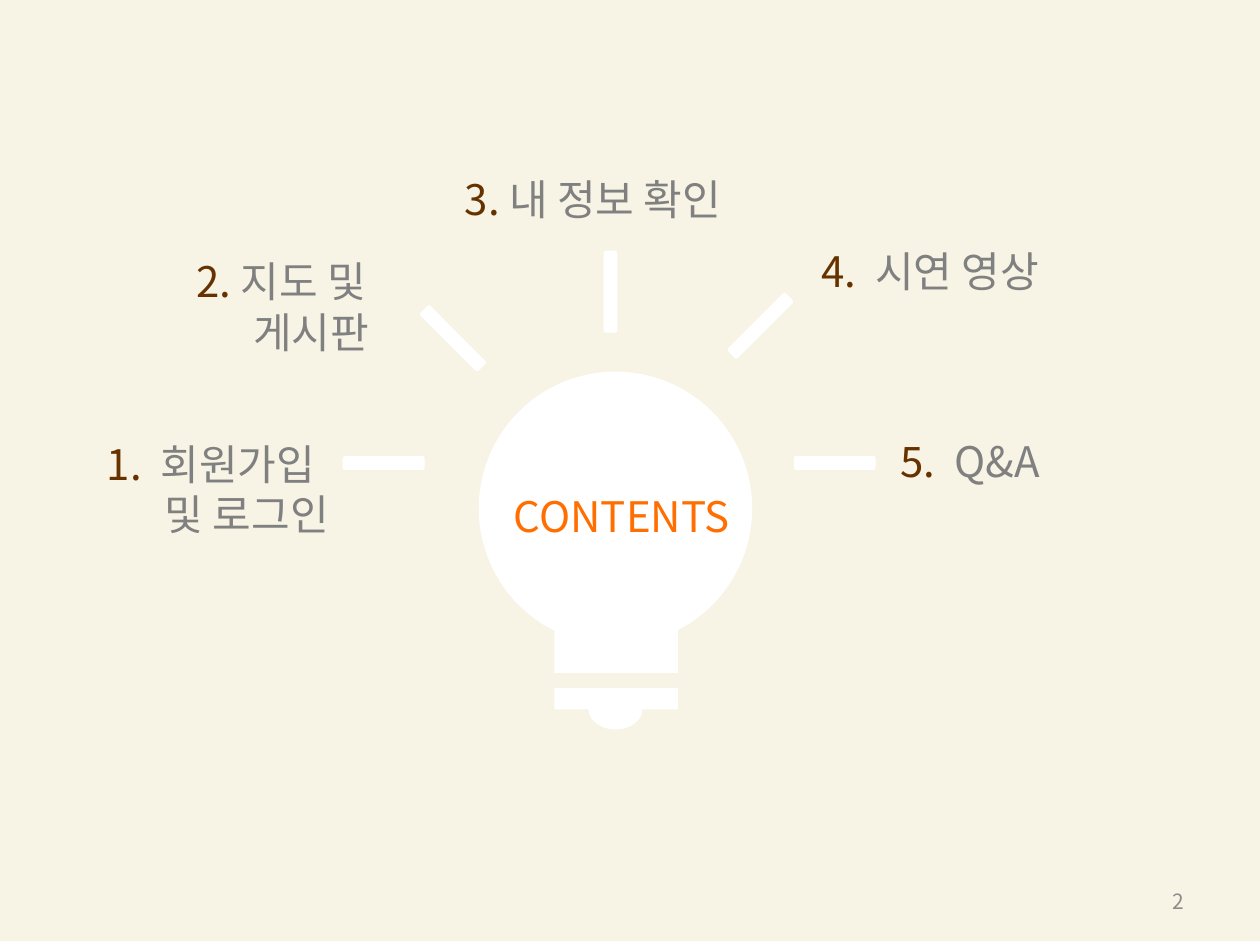
"""Build a contents slide: five topics around a light bulb."""
from dataclasses import dataclass

from lxml import etree
from pptx import Presentation
from pptx.dml.color import RGBColor
from pptx.enum.shapes import MSO_SHAPE
from pptx.enum.text import MSO_ANCHOR, MSO_AUTO_SIZE, PP_ALIGN
from pptx.oxml.ns import qn
from pptx.util import Inches, Length, Pt

RECT, OVAL, ROUND = MSO_SHAPE.RECTANGLE, MSO_SHAPE.OVAL, MSO_SHAPE.ROUNDED_RECTANGLE
FIT, MIDDLE, RIGHT = MSO_AUTO_SIZE.SHAPE_TO_FIT_TEXT, MSO_ANCHOR.MIDDLE, PP_ALIGN.RIGHT
FONT = "Noto Sans CJK KR"
CREAM, WHITE, ORANGE = "F7F4E5", "FFFFFF", "FF6E01"
BROWN, GRAY, PALE = "663300", "808080", "8C8C8C"
COLS, ROWS = 100, 75
RAY_W, RAY_H = 6.5, 1.1
WIDE_GAP = 5.4


@dataclass(frozen=True)
class Part:
    kind: MSO_SHAPE
    x: float
    y: float
    w: float
    h: float
    turn: float = 0


@dataclass(frozen=True)
class Topic:
    x: float
    y: float
    w: float
    title: str
    gap: float = 0
    second: str = ""
    indent: float = 0


BULB = [
    Part(OVAL, 38, 29.5, 21.7, 21.7),
    Part(RECT, 44, 46.7, 9.8, 6.7),
    Part(RECT, 44, 54.6, 9.8, 1.7),
    Part(OVAL, 46.7, 54.6, 4.3, 3.3),
]
RAYS = [
    Part(ROUND, x, y, RAY_W, RAY_H, turn)
    for x, y, turn in [
        (27.2, 36.2, 0), (32.7, 26.3, 45), (45.2, 22.6, 90),
        (63, 36.2, 0), (57.1, 25.3, 135),
    ]
]
TOPICS = [
    Topic(7.5, 34.3, 20, "회원가입", WIDE_GAP, "및 로그인", 4.6),
    Topic(14.6, 19.8, 17.8, "지도 및", 0, "게시판", 4.5),
    Topic(35.9, 13.3, 23.9, "내 정보 확인"),
    Topic(64.2, 19, 24.1, "시연 영상", WIDE_GAP),
    Topic(70.5, 34.1, 24.1, "Q&A", WIDE_GAP),
]


def cells(n: float) -> Length:
    """Turn grid cells into a length."""
    return Inches(n * 10 / COLS)


def rgb(value: str) -> RGBColor:
    """Turn a hex string into a colour."""
    return RGBColor.from_string(value)


def add_part(shapes, part: Part, color: str) -> None:
    """Draw one plain filled shape."""
    sp = shapes.add_shape(part.kind, *map(cells, (part.x, part.y, part.w, part.h)))
    sp.rotation = part.turn
    sp.shadow.inherit = False
    sp.fill.solid()
    sp.fill.fore_color.rgb = rgb(color)
    sp.line.fill.background()


def style(p, size: float, color: str) -> None:
    """Set the font of a whole paragraph, Korean letters included."""
    p.font.size = Pt(size)
    p.font.name = FONT
    p.font.color.rgb = rgb(color)
    etree.SubElement(p._p.pPr.find(qn("a:defRPr")), qn("a:ea"), typeface=FONT)


def add_box(shapes, x: float, y: float, w: float, h: float):
    """Add a wrapping text box and return its frame."""
    tf = shapes.add_textbox(*map(cells, (x, y, w, h))).text_frame
    tf.word_wrap = True
    return tf


def add_label(shapes, x: float, y: float, w: float, h: float,
              text: str, size: float, color: str):
    """Add a one-line label and return its frame."""
    tf = add_box(shapes, x, y, w, h)
    p = tf.paragraphs[0]
    p.add_run().text = text
    style(p, size, color)
    return tf


def add_topic(shapes, number: int, topic: Topic) -> None:
    """Write a numbered topic with an optional indented second line."""
    tf = add_box(shapes, topic.x, topic.y, topic.w, 9.1 if topic.second else 5)
    tf.auto_size = FIT
    p = tf.paragraphs[0]
    r = p.add_run()
    r.text = f"{number}."
    r.font.color.rgb = rgb(BROWN)
    r = p.add_run()
    r.text = " "
    r._r.get_or_add_rPr().set("spc", str(round(topic.gap * 100)))
    p.add_run().text = topic.title
    style(p, 24, GRAY)
    if topic.second:
        p = tf.add_paragraph()
        p.add_run().text = topic.second
        p._p.get_or_add_pPr().set("marL", str(cells(topic.indent)))
        style(p, 24, GRAY)


def main() -> None:
    """Build and save the slide."""
    prs = Presentation()
    prs.slide_width, prs.slide_height = cells(COLS), cells(ROWS)
    s = prs.slides.add_slide(prs.slide_layouts[6])
    add_part(s.shapes, Part(RECT, 0, -0.3, COLS, ROWS), CREAM)
    bulb = s.shapes.add_group_shape()
    for part in BULB + RAYS:
        add_part(bulb.shapes, part, WHITE)
    tf = add_label(s.shapes, 39.8, 38.4, 20, 5, "CONTENTS", 24, ORANGE)
    tf.auto_size = FIT
    for number, topic in enumerate(TOPICS, 1):
        add_topic(s.shapes, number, topic)
    tf = add_label(s.shapes, 71.7, 69.5, 23.3, 4, "2", 12, PALE)
    tf.vertical_anchor = MIDDLE
    tf.paragraphs[0].alignment = RIGHT
    prs.save("out.pptx")


if __name__ == "__main__":
    main()
